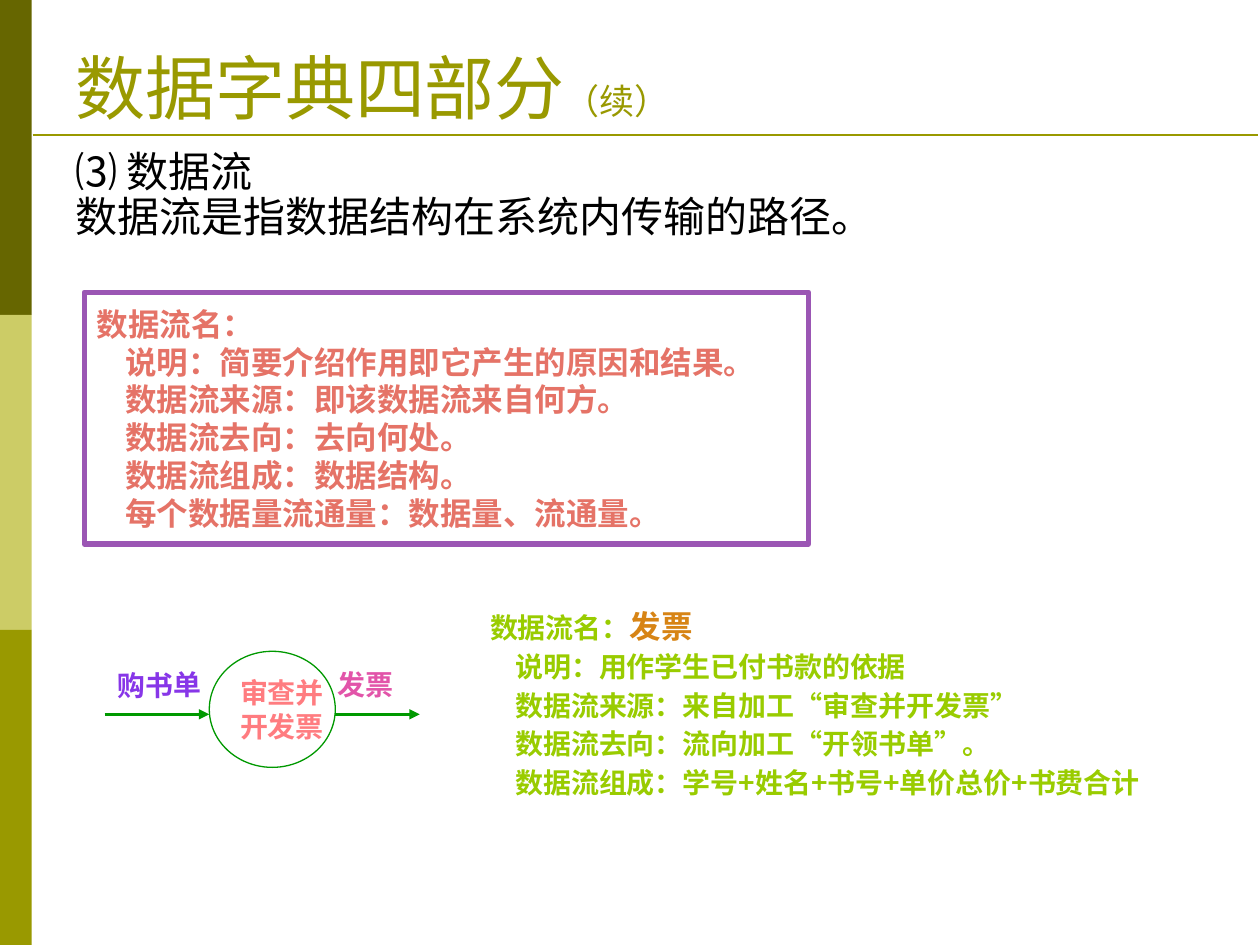
from itertools import groupby

from lxml.etree import SubElement
from pptx import Presentation
from pptx.dml.color import RGBColor
from pptx.enum.shapes import MSO_CONNECTOR as Connector, MSO_SHAPE as Shape
from pptx.enum.text import MSO_ANCHOR as Anchor, PP_ALIGN as Align
from pptx.oxml.ns import qn
from pptx.util import Cm, Pt

SERIF, SANS, CJK = "Times New Roman", "DejaVu Sans", "Noto Sans CJK SC"
OLIVE, GREEN, LIME = "999900", "009900", "99CC00"


def color(value):
    return RGBColor.from_string(value)


class SlideBuilder:
    def __init__(self, slide):
        self.slide = slide

    def shape(self, kind, box, fill=None, line=None, width=1):
        shape = self.slide.shapes.add_shape(kind, *map(Cm, box))
        shape.shadow.inherit = False
        if fill:
            shape.fill.solid()
            shape.fill.fore_color.rgb = color(fill)
        else:
            shape.fill.background()
        if line:
            shape.line.color.rgb = color(line)
            shape.line.width = Pt(width)
        else:
            shape.line.fill.background()
        return shape

    def textbox(self, box, lines, anchor=Anchor.TOP, wrap=True, **style):
        shape = self.slide.shapes.add_textbox(*map(Cm, box))
        self.add_lines(shape, lines, anchor=anchor, wrap=wrap, **style)
        return shape

    def line(self, x1, x2, y, stroke, arrow=False):
        line = self.slide.shapes.add_connector(
            Connector.STRAIGHT, Cm(x1), Cm(y), Cm(x2), Cm(y))
        line.line.color.rgb = color(stroke)
        line.line.width = Pt(1.5)
        properties = line._element.spPr
        if arrow:
            SubElement(properties.find(qn("a:ln")), qn("a:tailEnd"), type="triangle")
        SubElement(properties, qn("a:effectLst"))

    def add_lines(self, shape, lines, size, fill, font=SERIF, bold=False,
                  anchor=Anchor.MIDDLE, wrap=False, indent=0, spacing=None):
        """Fill a shape with lines; indent applies to all lines but the first."""
        frame = shape.text_frame
        frame.word_wrap = wrap
        frame.vertical_anchor = anchor
        for index, text in enumerate(lines):
            paragraph = frame.paragraphs[0] if index == 0 else frame.add_paragraph()
            paragraph.alignment = Align.LEFT
            if index and indent:
                paragraph._p.get_or_add_pPr().set("marL", str(Cm(indent)))
            if spacing and (index or not indent):
                paragraph.line_spacing = spacing
            for is_quote, letters in groupby(text, lambda letter: letter in "“”"):
                self.run(paragraph, "".join(letters), size, fill,
                         SERIF if is_quote else font, bold)

    def run(self, paragraph, text, size, fill, font, bold=False):
        run = paragraph.add_run()
        run.text = text
        run.font.size = Pt(size)
        run.font.name = font
        run.font.bold = bold
        run.font.color.rgb = color(fill)


def main():
    presentation = Presentation()
    presentation.slide_width, presentation.slide_height = Cm(25.4), Cm(19.05)
    builder = SlideBuilder(presentation.slides.add_slide(presentation.slide_layouts[6]))

    band_height = 6.35
    for index, fill in enumerate(("666600", "CCCC66", OLIVE)):
        builder.shape(Shape.RECTANGLE, (0, index * band_height, 0.64, band_height), fill)
    builder.line(0.66, 25.35, 2.72, OLIVE)

    title = builder.textbox((1.27, 0.76, 22.86, 1.96), ["数据字典四部分"],
                            anchor=Anchor.BOTTOM, size=40, fill=OLIVE)
    builder.run(title.text_frame.paragraphs[0], "（续）", 20, OLIVE, SERIF)
    builder.textbox((1.27, 2.92, 22.86, 4.72),
                    ["⑶ 数据流", "数据流是指数据结构在系统内传输的路径。"],
                    size=24, fill="000000", font=SANS, spacing=0.9)

    definition = builder.shape(Shape.RECTANGLE, (1.7, 5.89, 14.6, 5.08),
                               "FFFFFF", "9B56B4", 3)
    builder.add_lines(definition, [
        "数据流名：",
        "说明：简要介绍作用即它产生的原因和结果。",
        "数据流来源：即该数据流来自何方。",
        "数据流去向：去向何处。",
        "数据流组成：数据结构。",
        "每个数据量流通量：数据量、流通量。",
    ], size=18, fill="E57367", font=CJK, bold=True, indent=0.58)

    example = builder.shape(Shape.RECTANGLE, (9.63, 11.63, 13.77, 5.08), "FFFFFF")
    builder.add_lines(example, [
        "数据流名：",
        "说明：用作学生已付书款的依据",
        "数据流来源：来自加工“审查并开发票”",
        "数据流去向：流向加工“开领书单”。",
        "数据流组成：学号+姓名+书号+单价总价+书费合计",
    ], size=16, fill=LIME, font=CJK, bold=True, indent=0.51, spacing=1.15)
    builder.run(example.text_frame.paragraphs[0], "发票", 18, "D78415", CJK, True)

    process = builder.shape(Shape.OVAL, (4.22, 13.13, 2.54, 2.34), line=GREEN, width=0.75)
    builder.add_lines(process, ["审查并", "开发票"], size=16, fill="FF7C80", bold=True)
    for start, end in ((2.11, 4.22), (6.76, 8.46)):
        builder.line(start, end, 14.4, GREEN, arrow=True)
    builder.textbox((6.55, 13.34, 1.9, 0.94), ["发票"], size=16, fill="E254A9", bold=True)
    book_list = builder.textbox((2.11, 13.34, 2.34, 0.94), ["购书单"], wrap=False,
                                size=16, fill="8736E8", bold=True)
    book_list.rotation = 359.2

    presentation.save("out.pptx")


if __name__ == "__main__":
    main()
